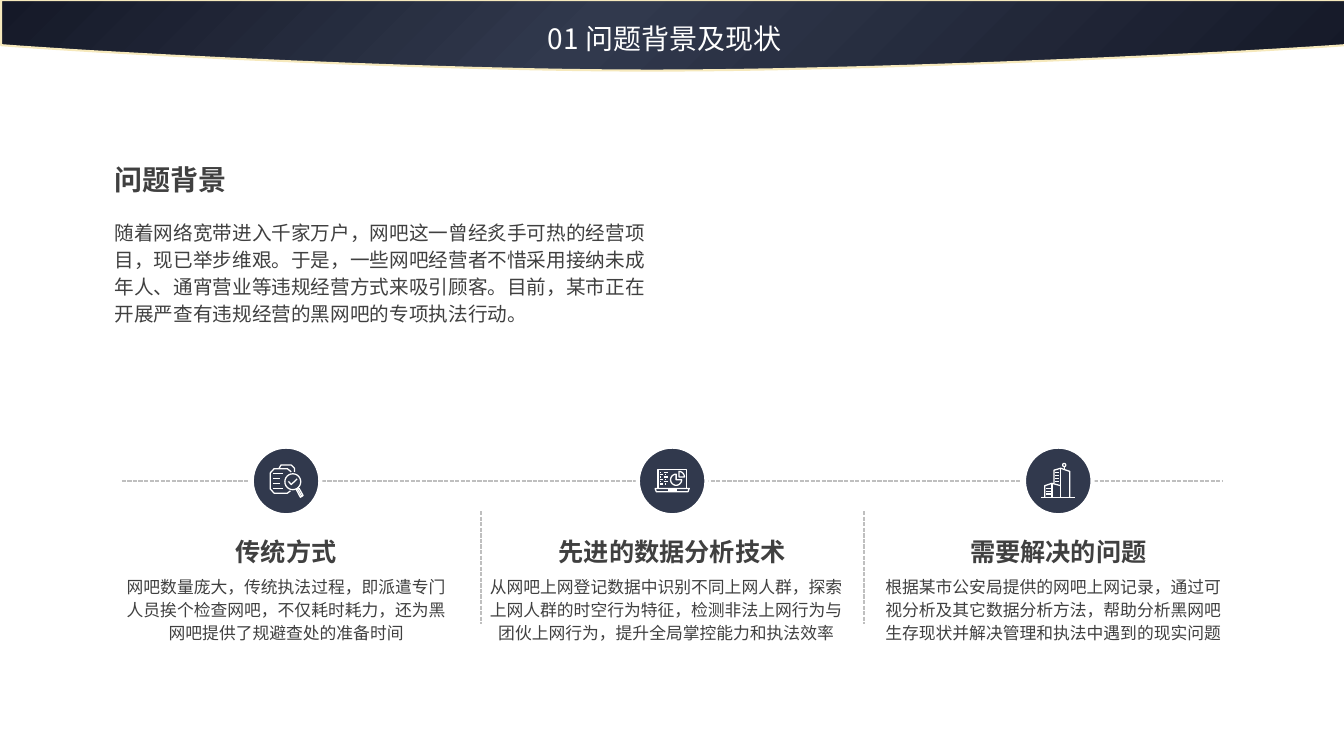
"""Build the slide on the background and current state of the problem."""
import math
from copy import deepcopy
from dataclasses import dataclass

from pptx import Presentation
from pptx import util as u
from pptx.dml.color import RGBColor
from pptx.enum import dml, shapes, text
from pptx.oxml.ns import qn
from pptx.oxml.xmlchemy import OxmlElement

Point = tuple[float, float]
Stroke = list[Point]


@dataclass(frozen=True)
class Theme:
    """Colours, font and type sizes of the slide."""
    font: str = "Noto Sans CJK SC"
    navy: str = "31394D"
    dark: str = "151928"
    white: str = "FFFFFF"
    ink: str = "404040"
    rule: str = "BFBFBF"
    trim: str = "F6E9BC"
    title: int = 20
    heading: int = 18
    lead: int = 14
    body: int = 12


@dataclass(frozen=True)
class Topic:
    """One column: icon, heading and explanation."""
    icon: list[Stroke]
    heading: str
    body: str
    left: float
    width: float


T = Theme()
FIRST_CENTRE, PITCH, AXIS_Y = 7.21, 9.73, 12.12
CIRCLE, HEADING_W = 1.73, 6.32


def rgb(color: str) -> RGBColor:
    """Turn a hex string into a colour."""
    return RGBColor.from_string(color)


def arc(x: float, y: float, r: float, start: int = 0, end: int = 360) -> Stroke:
    """Return points on a circular arc, clockwise in degrees."""
    angles = [math.radians(a) for a in range(start, end + 1, 15)]
    return [(x + r * math.cos(a), y + r * math.sin(a)) for a in angles]


def bezier(a: Point, b: Point, c: Point, d: Point, steps: int = 24) -> Stroke:
    """Return points on a cubic curve."""
    ts = [i / steps for i in range(steps + 1)]
    return [tuple((1 - t) ** 3 * p + 3 * t * (1 - t) ** 2 * q
                  + 3 * t * t * (1 - t) * r + t ** 3 * s
                  for p, q, r, s in zip(a, b, c, d)) for t in ts]


def bar(x1: float, x2: float, y: float) -> Stroke:
    """Return a horizontal stroke."""
    return [(x1, y), (x2, y)]


def add_outline(slide, strokes: list[Stroke], x: float, y: float, color: str, width: float):
    """Draw strokes around a centre as one freeform."""
    paths = [[(u.Cm(x + px), u.Cm(y + py)) for px, py in s] for s in strokes]
    fb = slide.shapes.build_freeform(*paths[0][0], scale=1.0)
    for i, path in enumerate(paths):
        if i:
            fb.move_to(*path[0])
        fb.add_line_segments(path[1:], close=False)
    sp = fb.convert_to_shape()
    sp.shadow.inherit = False
    sp.fill.background()
    sp.line.color.rgb = rgb(color)
    sp.line.width = u.Pt(width)
    return sp


def add_text(slide, content: str, x: float, y: float, w: float, h: float, *, size: int,
             color: str = T.ink, bold: bool = False, spacing: float = 1.0,
             align=text.PP_ALIGN.LEFT) -> None:
    """Add a wrapped text box."""
    tf = slide.shapes.add_textbox(u.Cm(x), u.Cm(y), u.Cm(w), u.Cm(h)).text_frame
    tf.word_wrap = True
    p = tf.paragraphs[0]
    p.alignment, p.line_spacing = align, spacing
    r = p.add_run()
    r.text = content
    r.font.size, r.font.bold, r.font.name = u.Pt(size), bold, T.font
    r.font.color.rgb = rgb(color)
    ea = OxmlElement("a:ea")
    ea.set("typeface", T.font)
    r.font._element.find(qn("a:latin")).addnext(ea)


def add_rule(slide, x1: float, y1: float, x2: float, y2: float) -> None:
    """Add a dashed grey line."""
    c = slide.shapes.add_connector(shapes.MSO_CONNECTOR.STRAIGHT,
                                   u.Cm(x1), u.Cm(y1), u.Cm(x2), u.Cm(y2))
    c.line.color.rgb = rgb(T.rule)
    c.line.width = u.Pt(1)
    c.line.dash_style = dml.MSO_LINE.SQUARE_DOT
    c._element.spPr.append(OxmlElement("a:effectLst"))


def add_banner(slide) -> None:
    """Draw the curved title banner with its gradient."""
    right = bezier((33.9, 1.14), (31.01, 1.35), (22.1, 1.78), (16.43, 1.78))
    left = bezier((16.43, 1.78), (10.8, 1.78), (2.79, 1.35), (0.03, 1.14))
    edge = [(0.03, 0), (33.9, 0), *right, *left[1:], (0.03, 0)]
    sp = add_outline(slide, [edge], 0, 0, T.trim, 1.5)
    sp.fill.gradient()
    sp.fill.gradient_angle = 315
    stops = sp._element.spPr.find(".//" + qn("a:gsLst"))
    stops.append(deepcopy(stops[0]))
    colors = ((0, T.dark), (0.44, T.navy), (1, T.dark))
    for stop, (position, color) in zip(sp.fill.gradient_stops, colors):
        stop.position = position
        stop.color.rgb = rgb(color)


def add_topic(slide, topic: Topic, centre: float) -> None:
    """Draw one column below and on the dashed axis."""
    sp = slide.shapes.add_shape(shapes.MSO_SHAPE.OVAL, u.Cm(centre - CIRCLE / 2),
                                u.Cm(AXIS_Y - CIRCLE / 2), u.Cm(CIRCLE), u.Cm(CIRCLE))
    sp.shadow.inherit = False
    sp.fill.solid()
    sp.fill.fore_color.rgb = rgb(T.navy)
    sp.line.color.rgb = rgb(T.white)
    sp.line.width = u.Pt(3)
    add_outline(slide, topic.icon, centre, AXIS_Y, T.white, 0.9)
    add_text(slide, topic.heading, centre - HEADING_W / 2, 13.39, HEADING_W, 1.02,
             size=T.heading, bold=True, align=text.PP_ALIGN.CENTER)
    add_text(slide, topic.body, topic.left, 14.34, topic.width, 2,
             size=T.body, spacing=1.14, align=text.PP_ALIGN.CENTER)


SEARCH = [
    [(0.13, -0.23), (0.03, -0.31), (-0.3, -0.31), (-0.4, -0.2), (-0.4, 0.2),
     (-0.3, 0.31), (0.03, 0.31), (0.11, 0.25)],
    [(-0.18, -0.31), (-0.13, -0.4), (0.13, -0.4), (0.21, -0.32), (0.21, -0.23)],
    *[bar(-0.33, x, y) for x, y in ((-0.08, -0.19), (-0.15, -0.06), (-0.15, 0.06), (-0.08, 0.19))],
    arc(0.17, 0.02, 0.2),
    [(0.06, 0.01), (0.13, 0.09), (0.28, -0.05)],
    [(0.26, 0.22), (0.33, 0.19), (0.43, 0.37), (0.36, 0.41), (0.26, 0.22)],
    [(0.3, 0.22), (0.39, 0.38)],
]
LAPTOP = [
    [(-0.36, 0.19), (-0.36, -0.29), (0.36, -0.29), (0.36, 0.19)],
    [(-0.43, 0.19), (0.43, 0.19), (0.4, 0.27), (-0.4, 0.27), (-0.43, 0.19)],
    bar(-0.11, 0.11, 0.23),
    *[bar(*ends, -0.22 + 0.06 * row) for row in range(6)
      for ends in (((-0.31, -0.28), (-0.21, -0.11)) if row % 2 == 0
                   else ((-0.31, -0.23), (-0.18, -0.15)))],
    [(0.1, -0.03), *arc(0.1, -0.03, 0.14, 0, 270), (0.1, -0.03)],
    [(0.17, -0.1), *arc(0.17, -0.1, 0.14, -90, 0), (0.17, -0.1)],
]
TOWERS = [
    bar(-0.43, 0.43, 0.42),
    [(-0.34, 0.42), (-0.34, 0.12), (-0.16, 0.06), (0.06, 0.12)],
    [(-0.16, 0.06), (-0.16, 0.42)],
    [(-0.11, 0.06), (-0.11, -0.27), (0.06, -0.32), (0.29, -0.24), (0.29, 0.42)],
    [(0.06, -0.32), (0.06, 0.42)],
    [(0.15, -0.29), (0.15, -0.36)],
    arc(0.15, -0.4, 0.04),
    *[bar(-0.3, -0.18, 0.19 + 0.07 * row) for row in range(3)],
    *[bar(-0.08, 0.03, -0.22 + 0.08 * row) for row in range(4)],
]
TOPICS = [
    Topic(SEARCH, "传统方式",
          "网吧数量庞大，传统执法过程，即派遣专门人员挨个检查网吧，不仅耗时耗力，还为黑网吧提供了规避查处的准备时间",
          2.77, 8.89),
    Topic(LAPTOP, "先进的数据分析技术",
          "从网吧上网登记数据中识别不同上网人群，探索上网人群的时空行为特征，检测非法上网行为与团伙上网行为，提升全局掌控能力和执法效率",
          12.04, 9.5),
    Topic(TOWERS, "需要解决的问题",
          "根据某市公安局提供的网吧上网记录，通过可视分析及其它数据分析方法，帮助分析黑网吧生存现状并解决管理和执法中遇到的现实问题",
          22, 9.09),
]
BACKGROUND = ("随着网络宽带进入千家万户，网吧这一曾经炙手可热的经营项目，现已举步维艰。"
              "于是，一些网吧经营者不惜采用接纳未成年人、通宵营业等违规经营方式来吸引顾客。"
              "目前，某市正在开展严查有违规经营的黑网吧的专项执法行动。")


def main() -> None:
    """Build and save the slide."""
    prs = Presentation()
    prs.slide_width, prs.slide_height = u.Cm(33.87), u.Cm(19.05)
    s = prs.slides.add_slide(prs.slide_layouts[6])
    add_banner(s)
    add_text(s, "01 问题背景及现状", 13.56, 0.41, 6.73, 1.12, size=T.title, color=T.white)
    add_text(s, "问题背景", 2.64, 3.96, 6.12, 1.12, size=T.title, bold=True)
    add_text(s, BACKGROUND, 2.64, 5.36, 14.17, 2.97, size=T.lead, spacing=1.14)
    add_rule(s, 3.07, AXIS_Y, 30.81, AXIS_Y)
    for x in (12.12, 21.77):
        add_rule(s, x, 12.88, x, 15.72)
    for i, topic in enumerate(TOPICS):
        add_topic(s, topic, FIRST_CENTRE + i * PITCH)
    prs.save("out.pptx")


if __name__ == "__main__":
    main()
